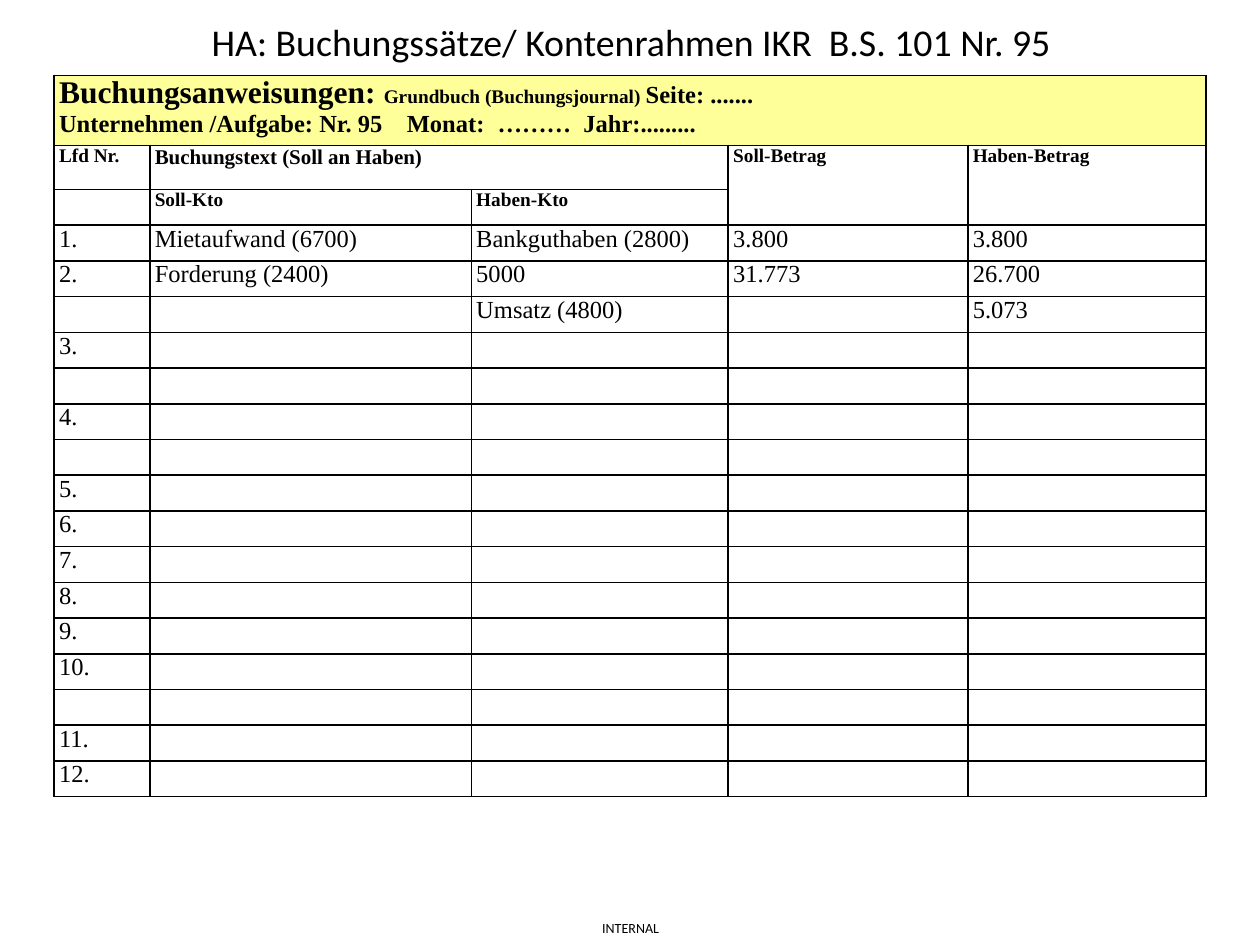
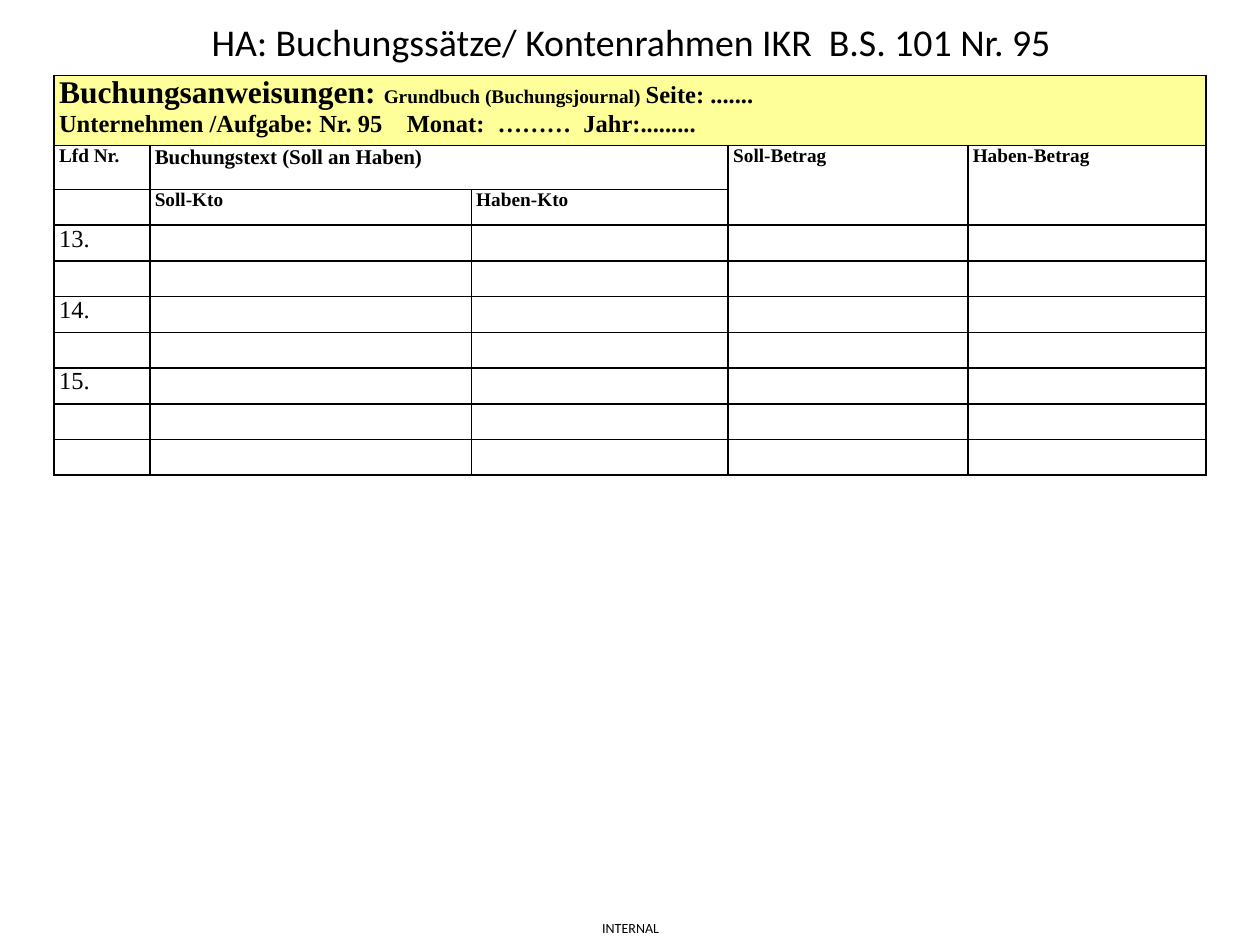
from lxml import etree
from pptx import Presentation
from pptx.dml.color import RGBColor
from pptx.enum.text import MSO_ANCHOR, PP_ALIGN
from pptx.oxml.ns import qn
from pptx.util import Cm, Pt

CENTER = PP_ALIGN.CENTER
LEFT = PP_ALIGN.LEFT
MIDDLE = MSO_ANCHOR.MIDDLE
TOP = MSO_ANCHOR.TOP

BLACK = RGBColor(0x00, 0x00, 0x00)
YELLOW = RGBColor(0xFF, 0xFF, 0x99)

SANS = "Calibri"
SERIF = "Times New Roman"
ENTRY_SIZE = 14

TITLE = "HA: Buchungssätze/ Kontenrahmen IKR  B.S. 101 Nr. 95"
FOOTER = "INTERNAL"
COLUMN_WIDTHS = [1.93, 6.48, 5.18, 4.83, 4.8]
HEADER_HEIGHTS = [1.41, 0.89, 0.72]
ENTRY_HEIGHT = 0.72
HEADING_TABS = [7.01, 8.84, 10.57]
COLUMN_HEADERS = [
    (1, 0, "Lfd Nr.", 11),
    (1, 1, "Buchungstext (Soll an Haben)", 12),
    (1, 3, "Soll-Betrag", 11),
    (1, 4, "Haben-Betrag", 11),
    (2, 1, "Soll-Kto", 11),
    (2, 2, "Haben-Kto", 11),
]

FIRST_ENTRIES = [
    ("1.", "Mietaufwand (6700)", "Bankguthaben (2800)", "3.800", "3.800"),
    ("2.", "Forderung (2400)", "5000", "31.773", "26.700"),
    ("", "", "Umsatz (4800)", "", "5.073"),
] + [(number,) for number in (
    "3.", "", "4.", "", "5.", "6.", "7.", "8.", "9.", "10.", "", "11.", "12.")]
SECOND_ENTRIES = [(number,) for number in ("13.", "", "14.", "", "15.", "", "")]


def add_run(paragraph, text, size, font_name, bold=False):
    run = paragraph.add_run()
    run.text = text
    run.font.size = Pt(size)
    run.font.name = font_name
    run.font.bold = bold
    run.font.color.rgb = BLACK


def add_text(slide, text, left, top, width, height, size, alignment, anchor):
    shape = slide.shapes.add_textbox(Cm(left), Cm(top), Cm(width), Cm(height))
    frame = shape.text_frame
    frame.word_wrap = True
    frame.vertical_anchor = anchor
    frame.margin_left = frame.margin_right = 0
    frame.margin_top = frame.margin_bottom = 0
    paragraph = frame.paragraphs[0]
    paragraph.alignment = alignment
    add_run(paragraph, text, size, SANS)


def set_borders(cell, open_side):
    properties = cell._tc.get_or_add_tcPr()
    for side in "LRTB":
        line = etree.SubElement(properties, qn(f"a:ln{side}"), w=str(Pt(1)))
        if side == open_side:
            etree.SubElement(line, qn("a:noFill"))
        else:
            fill = etree.SubElement(line, qn("a:solidFill"))
            etree.SubElement(fill, qn("a:srgbClr"), val=str(BLACK))


def format_cell(cell, open_side=None):
    cell.margin_left = cell.margin_right = Cm(0.1)
    cell.margin_top = cell.margin_bottom = 0
    set_borders(cell, open_side)
    cell.fill.background()
    paragraph = cell.text_frame.paragraphs[0]
    etree.SubElement(paragraph._p, qn("a:endParaRPr"), sz=str(ENTRY_SIZE * 100))


def add_tabs(paragraph, positions):
    properties = paragraph._p.get_or_add_pPr()
    tabs = etree.SubElement(properties, qn("a:tabLst"))
    for position in positions:
        etree.SubElement(tabs, qn("a:tab"), pos=str(Cm(position)), algn="l")


def write_cell(cell, text, size, bold=False):
    add_run(cell.text_frame.paragraphs[0], text, size, SERIF, bold)


def write_journal_heading(cell):
    cell.fill.solid()
    cell.fill.fore_color.rgb = YELLOW
    paragraph = cell.text_frame.paragraphs[0]
    add_tabs(paragraph, HEADING_TABS)
    write_cell(cell, "Buchungsanweisungen: ", 18, True)
    write_cell(cell, "Grundbuch (Buchungsjournal) ", 11, True)
    write_cell(cell, "Seite: .......", 14, True)
    paragraph.add_line_break()
    write_cell(cell, "Unternehmen /Aufgabe: Nr. 95\tMonat:\t………\tJahr:.........", 14, True)


def add_journal(slide, entries):
    heights = HEADER_HEIGHTS + [ENTRY_HEIGHT] * len(entries)
    frame = slide.shapes.add_table(
        len(heights), len(COLUMN_WIDTHS), Cm(1.09), Cm(1.52),
        Cm(sum(COLUMN_WIDTHS)), Cm(sum(heights)))
    table = frame.table
    table.first_row = False
    table.horz_banding = False
    for column, width in zip(table.columns, COLUMN_WIDTHS):
        column.width = Cm(width)
    for row, height in zip(table.rows, heights):
        row.height = Cm(height)

    open_sides = {1: "B", 2: "T"}
    for row_index, row in enumerate(table.rows):
        for column_index, cell in enumerate(row.cells):
            is_amount = column_index >= 3
            format_cell(cell, open_sides.get(row_index) if is_amount else None)

    table.cell(0, 0).merge(table.cell(0, 4))
    table.cell(1, 1).merge(table.cell(1, 2))
    write_journal_heading(table.cell(0, 0))
    for row_index, column_index, text, size in COLUMN_HEADERS:
        write_cell(table.cell(row_index, column_index), text, size, True)
    for row_index, entry in enumerate(entries, len(HEADER_HEIGHTS)):
        for column_index, text in enumerate(entry):
            if text:
                write_cell(table.cell(row_index, column_index), text, ENTRY_SIZE)


def add_journal_slide(presentation, entries):
    slide = presentation.slides.add_slide(presentation.slide_layouts[6])
    add_text(slide, FOOTER, 12.14, 18.54, 1.3, 0.33, 8, LEFT, TOP)
    add_text(slide, TITLE, 1.3, 0.33, 22.86, 1, 21.6, CENTER, MIDDLE)
    add_journal(slide, entries)


def main():
    presentation = Presentation()
    presentation.slide_width = Cm(25.4)
    presentation.slide_height = Cm(19.05)
    for entries in (FIRST_ENTRIES, SECOND_ENTRIES):
        add_journal_slide(presentation, entries)
    presentation.save("out.pptx")


if __name__ == "__main__":
    main()
